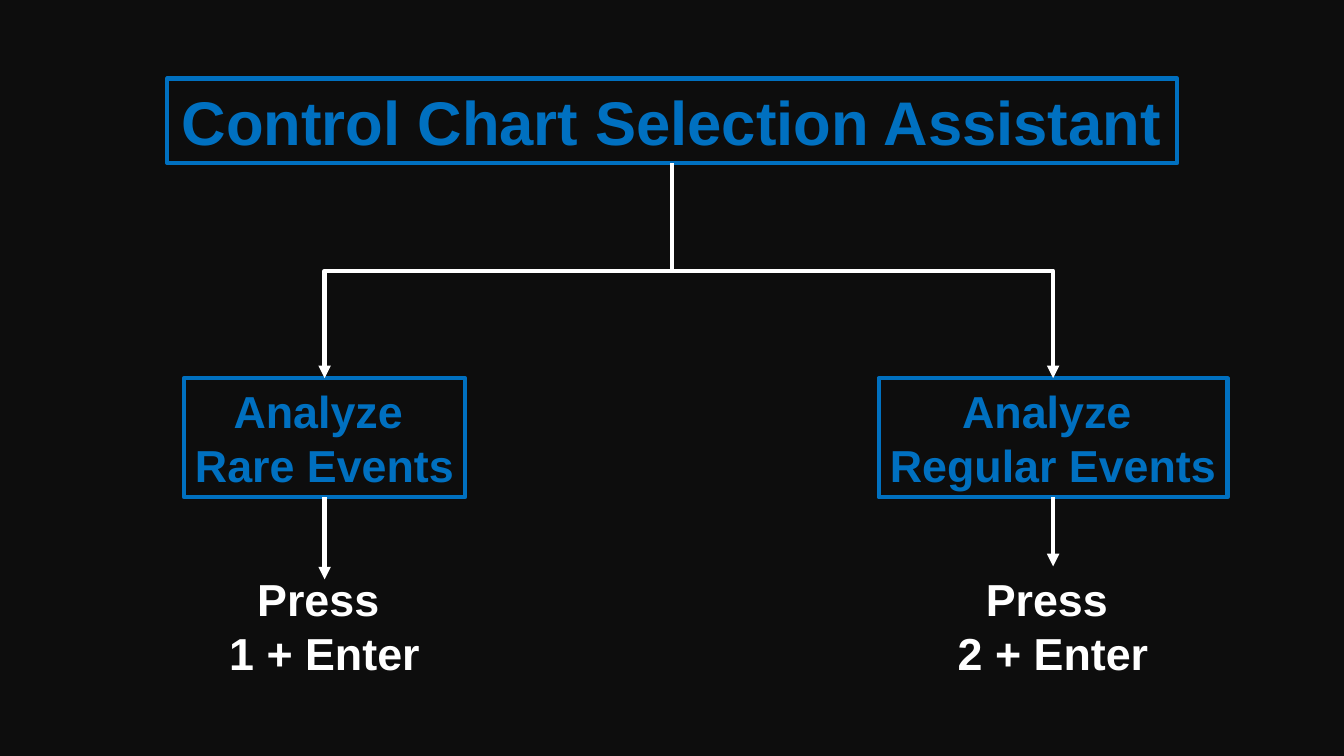
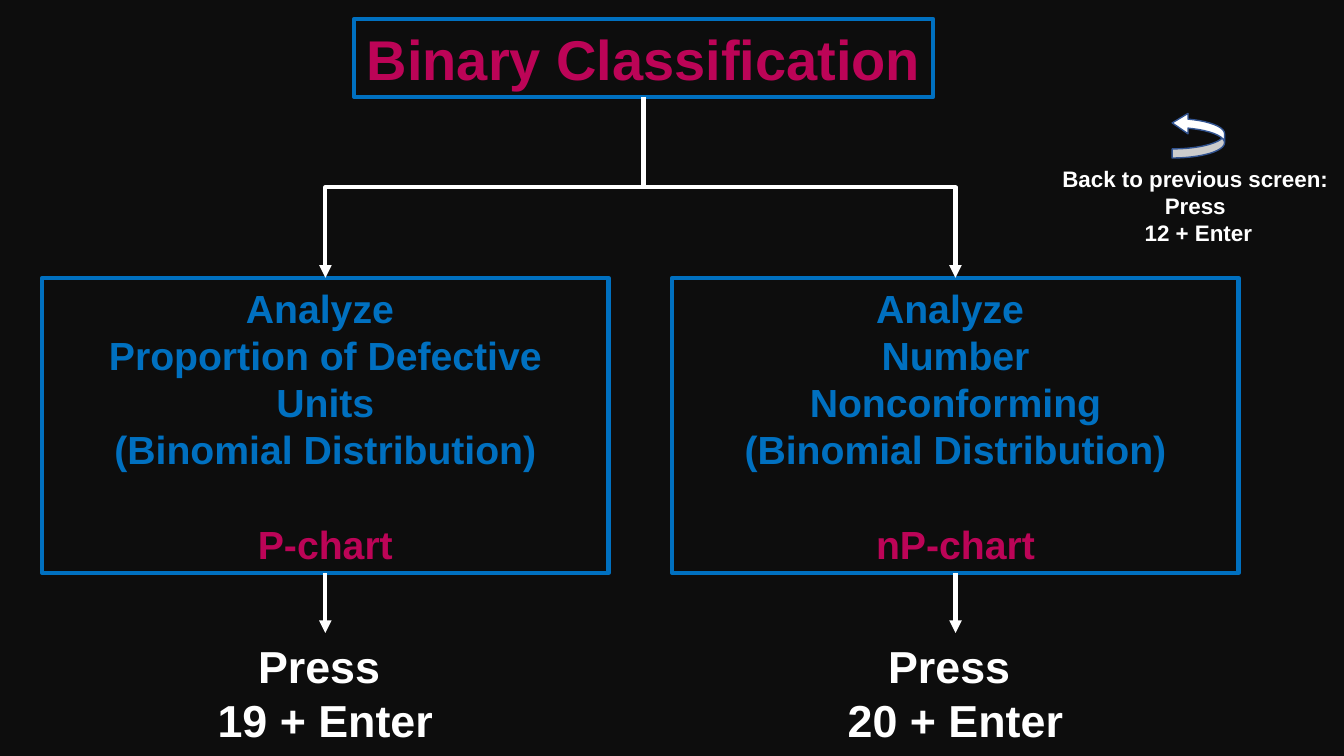
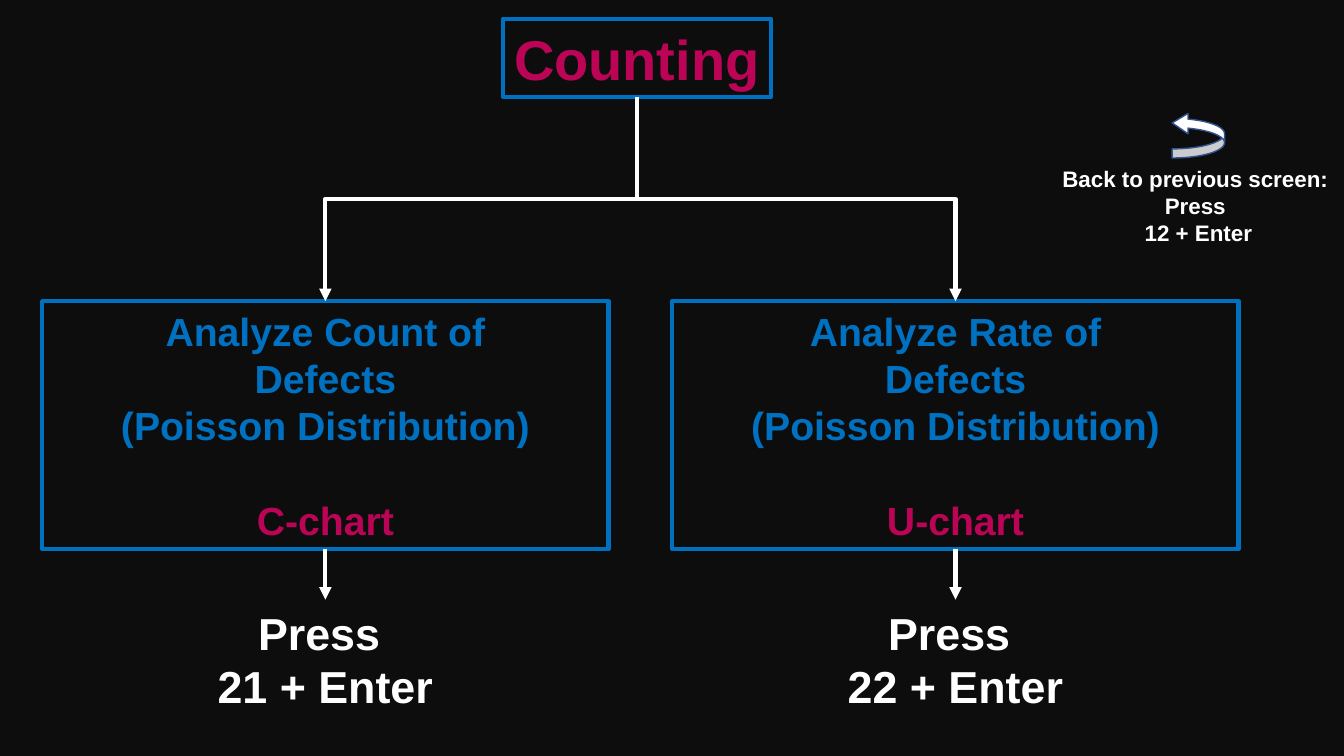
from lxml.etree import SubElement
from pptx import Presentation
from pptx.dml.color import RGBColor
from pptx.enum.shapes import MSO_CONNECTOR as LINE, MSO_SHAPE as SHAPE
from pptx.enum.text import MSO_ANCHOR as ANCHOR, MSO_AUTO_SIZE as FIT, PP_ALIGN as ALIGN
from pptx.oxml.ns import qn
from pptx.util import Cm, Pt

COLORS = {
    "background": "0D0D0D",
    "blue": "0070C0",
    "crimson": "BC0457",
    "white": "FFFFFF",
    "arrow_edge": "325491",
}
FONT = "Arial"
BOTTOM, TOP = 2, 0  # connection sites of a rectangle


def rgb(name):
    return RGBColor.from_string(COLORS[name])


def write(tf, lines, size, color, wrap=False, accent=None):
    """Fill a text frame with centred bold lines; accent is a set-off crimson last line."""
    tf.word_wrap = wrap
    tf.auto_size = FIT.NONE
    tf.vertical_anchor = ANCHOR.MIDDLE
    entries = [(line, color) for line in lines]
    if accent:
        entries.append((accent, "crimson"))
    for i, (text, tint) in enumerate(entries):
        p = tf.add_paragraph() if i else tf.paragraphs[0]
        p.alignment = ALIGN.CENTER
        r = p.add_run()
        r.text = text
        r.font.name = FONT
        r.font.size = Pt(size)
        r.font.bold = True
        r.font.color.rgb = rgb(tint)
    if accent:
        p.space_before = Pt(34)


class Chooser:
    """Builds decision slides; x positions are centres, all lengths in cm."""

    def __init__(self):
        self.prs = Presentation()
        self.prs.slide_width, self.prs.slide_height = Cm(33.87), Cm(19.05)
        fill = self.prs.slide_master.background.fill
        fill.solid()
        fill.fore_color.rgb = rgb("background")

    def outline(self, sp):
        sp.fill.background()
        sp.line.color.rgb = rgb("blue")
        sp.line.width = Pt(3)

    def start(self, title, x, y, w, h, size, color):
        """Add a slide with its framed title."""
        self.slide = self.prs.slides.add_slide(self.prs.slide_layouts[5])
        self.title = sp = self.slide.shapes.title
        sp.left, sp.top, sp.width, sp.height = Cm(x - w / 2), Cm(y), Cm(w), Cm(h)
        self.outline(sp)
        write(sp.text_frame, [title], size, color)

    def box(self, lines, x, y, w, h, size, **fmt):
        sp = self.slide.shapes.add_shape(SHAPE.RECTANGLE, Cm(x - w / 2), Cm(y), Cm(w), Cm(h))
        sp.shadow.inherit = False
        self.outline(sp)
        write(sp.text_frame, lines, size, "blue", **fmt)
        return sp

    def label(self, lines, x, y, w, h, size, **fmt):
        sp = self.slide.shapes.add_textbox(Cm(x - w / 2), Cm(y), Cm(w), Cm(h))
        write(sp.text_frame, lines, size, "white", **fmt)

    def arrow(self, kind, x1, y1, x2, y2):
        sp = self.slide.shapes.add_connector(kind, x1, y1, x2, y2)
        sp.line.color.rgb = rgb("white")
        sp.line.width = Pt(3)
        spPr = sp._element.spPr
        SubElement(spPr.find(qn("a:ln")), qn("a:tailEnd"), type="triangle")
        SubElement(spPr, qn("a:effectLst"))
        return sp

    def elbow(self, target):
        """Lead from the title down, across and down to the target box."""
        x1, y1 = self.title.left + self.title.width // 2, self.title.top + self.title.height
        x2, y2 = target.left + target.width // 2, target.top
        sp = self.arrow(LINE.ELBOW, x1, y1, x2, y2)
        sp.begin_connect(self.title, BOTTOM)
        sp.end_connect(target, TOP)
        # A quarter turn makes the first leg vertical, so width and height swap.
        w, h = y2 - y1, abs(x2 - x1)
        sp.left, sp.top = (x1 + x2 - w) // 2, (y1 + y2 - h) // 2
        sp.width, sp.height = w, h
        xfrm = sp._element.spPr.find(qn("a:xfrm"))
        xfrm.attrib.pop("flipH", None)
        xfrm.set("rot", str((90 if x2 < x1 else 270) * 60000))
        if x2 > x1:
            xfrm.set("flipH", "1")

    def branch(self, lines, key, x, y, w, h, size, press_y, press_w=6, tip=None, **fmt):
        """Add a choice box, its two arrows and the key to press."""
        self.elbow(self.box(lines, x, y, w, h, size, **fmt))
        self.label(["Press ", f"{key} + Enter"], x, press_y, press_w, 3, 32)
        self.arrow(LINE.STRAIGHT, Cm(x), Cm(y + h), Cm(x), Cm(tip or press_y))

    def back(self, key):
        x = 30.2
        self.label(["Back to previous screen: ", "Press ", f"{key} + Enter"],
                   x, 3.99, 7.37, 2.39, 16, wrap=True)
        w = 1.32
        sp = self.slide.shapes.add_shape(SHAPE.CURVED_RIGHT_ARROW,
                                         Cm(x - w / 2), Cm(2.84), Cm(w), Cm(1.14))
        sp.shadow.inherit = False
        sp.rotation = 180
        for i, value in enumerate((0.2, 0.45, 0.35)):
            sp.adjustments[i] = value
        sp.fill.solid()
        sp.fill.fore_color.rgb = rgb("white")
        sp.line.color.rgb = rgb("arrow_edge")
        sp.line.width = Pt(1)

    def chart_choice(self, title, x, w, y, h, press_y, choices):
        """Add a slide that offers two kinds of chart side by side."""
        self.start(title, x, 0.48, w, 1.96, 40, "crimson")
        for center, (lines, chart, key) in zip((8.2, 24.08), choices):
            self.branch(lines, key, center, y, 14.27, h, 28, press_y, wrap=True, accent=chart)
        self.back(12)


def main():
    deck = Chooser()

    deck.start("Control Chart Selection Assistant", 16.94, 1.98, 25.45, 2.13, 44, "blue")
    for event, key, x, w, tip in (("Rare", 1, 8.18, 7.09, 14.6),
                                  ("Regular", 2, 26.54, 8.79, 14.27)):
        deck.branch(["Analyze ", f"{event} Events"], key, x, 9.53, w, 3, 32,
                    14.27, press_w=5.36, tip=tip)

    binomial = "(Binomial Distribution)"
    deck.chart_choice("Binary Classification", 16.22, 14.6, 7, 7.44, 15.95, [
        (["Analyze ", "Proportion of Defective", "Units", binomial], "P-chart", 19),
        (["Analyze ", "Number", "Nonconforming", binomial], "nP-chart", 20),
    ])

    deck.chart_choice("Counting", 16.05, 6.76, 7.59, 6.25, 15.11, [
        ([f"Analyze {measure} of", "Defects", "(Poisson Distribution)"], chart, key)
        for measure, chart, key in (("Count", "C-chart", 21), ("Rate", "U-chart", 22))
    ])

    deck.prs.save("out.pptx")


if __name__ == "__main__":
    main()
